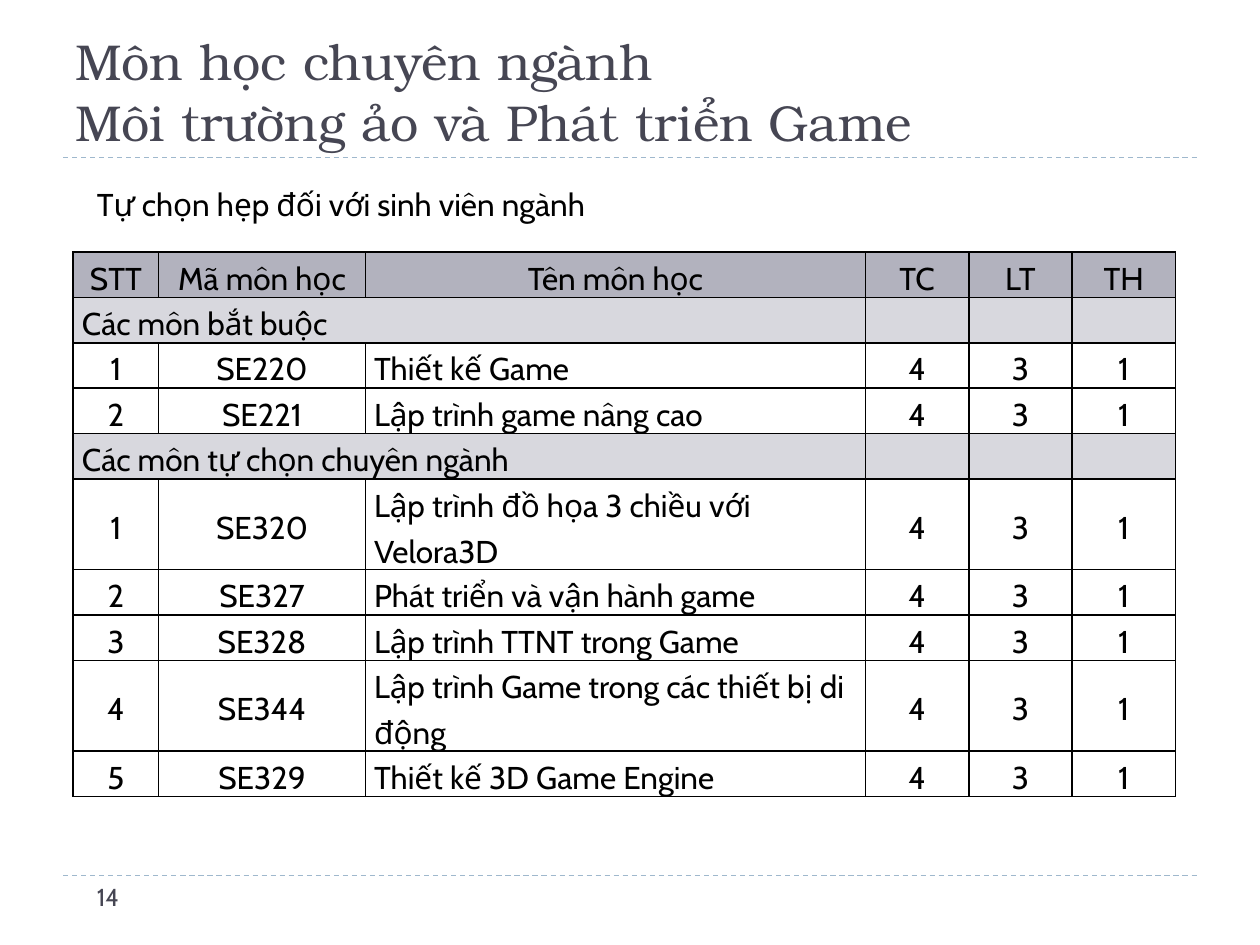
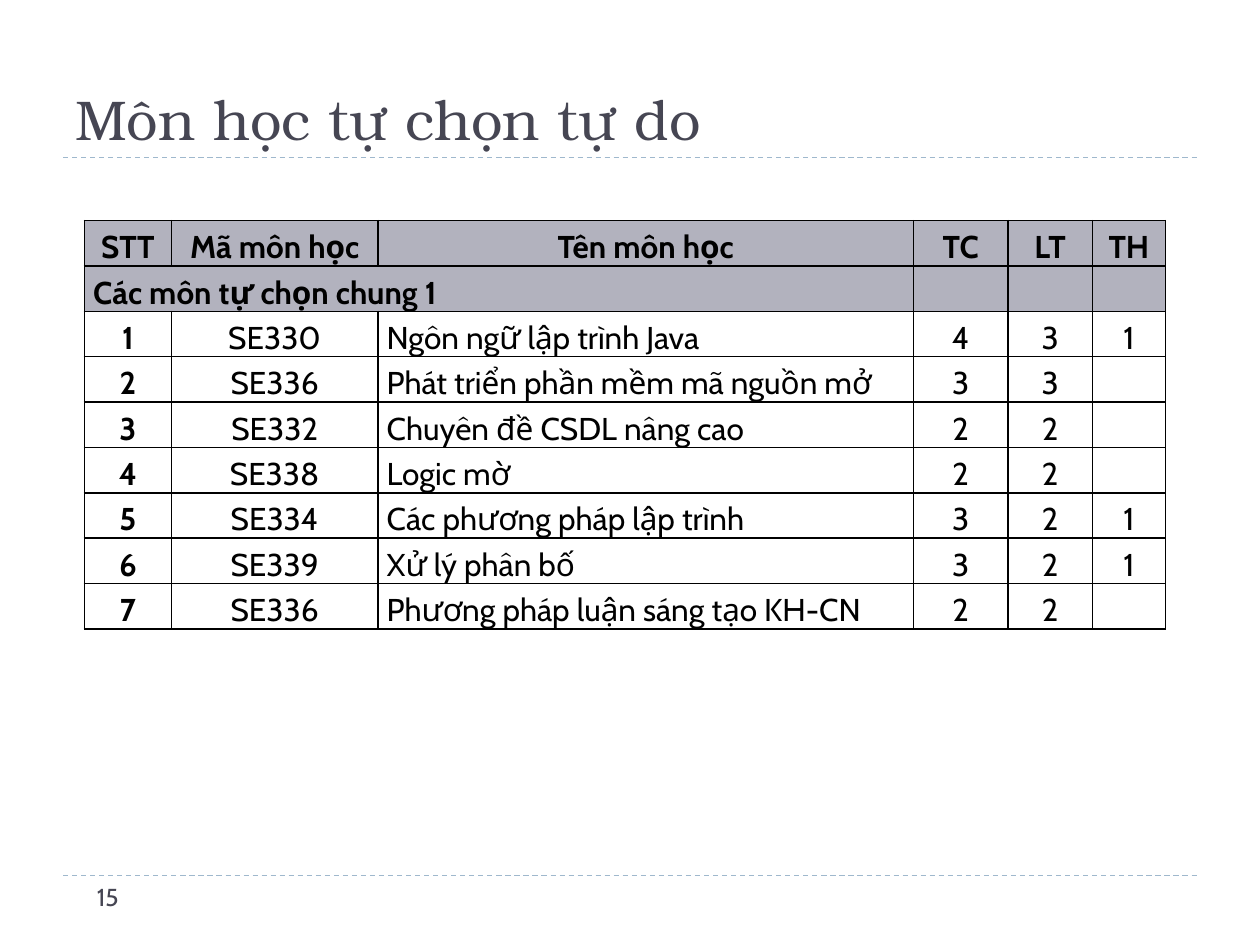
from dataclasses import dataclass

from lxml.etree import SubElement
from pptx import Presentation
from pptx.dml.color import RGBColor
from pptx.enum.dml import MSO_LINE_DASH_STYLE as Dash
from pptx.enum.shapes import MSO_CONNECTOR as Connector
from pptx.enum.text import MSO_ANCHOR as Anchor, PP_ALIGN as Align
from pptx.oxml.ns import qn
from pptx.util import Inches, Pt


@dataclass(frozen=True)
class Theme:
    """Colours, fonts and type sizes of the deck."""
    title_color: str = "464653"
    text_color: str = "000000"
    rule_color: str = "9FB8CD"
    header_fill: str = "B2B2BE"
    section_fill: str = "D8D8DE"
    title_font: str = "TeX Gyre Bonum"
    body_font: str = "Cabin"
    title_size: float = 32
    long_title_size: float = 28.8
    body_size: float = 18
    number_size: float = 14


THEME = Theme()
HEADINGS = ("STT", "Mã môn học", "Tên môn học", "TC", "LT", "TH")
NAME_COLUMN = HEADINGS.index("Tên môn học")
ROW_HEIGHT = 0.31
TITLE_BOX = (0.5, 0.17, 9, 1.08)
NUMBER_BOX = (0.67, 6.95, 2.17, 0.4)
SUBTITLE_BOX = (0.67, 1.42, 8.83, 0.42)

MAJOR_COURSES = (
    ("Các môn bắt buộc",),
    ("1", "SE220", "Thiết kế Game", "4", "3", "1"),
    ("2", "SE221", "Lập trình game nâng cao", "4", "3", "1"),
    ("Các môn tự chọn chuyên ngành",),
    ("1", "SE320", "Lập trình đồ họa 3 chiều với Velora3D", "4", "3", "1"),
    ("2", "SE327", "Phát triển và vận hành game", "4", "3", "1"),
    ("3", "SE328", "Lập trình TTNT trong Game", "4", "3", "1"),
    ("4", "SE344", "Lập trình Game trong các thiết bị di động", "4", "3", "1"),
    ("5", "SE329", "Thiết kế 3D Game Engine", "4", "3", "1"),
)
FREE_COURSES = (
    ("Các môn tự chọn chung 1",),
    ("1", "SE330", "Ngôn ngữ lập trình Java", "4", "3", "1"),
    ("2", "SE336", "Phát triển phần mềm mã nguồn mở", "3", "3", ""),
    ("3", "SE332", "Chuyên đề CSDL nâng cao", "2", "2", ""),
    ("4", "SE338", "Logic mờ", "2", "2", ""),
    ("5", "SE334", "Các phương pháp lập trình", "3", "2", "1"),
    ("6", "SE339", "Xử lý phân bố", "3", "2", "1"),
    ("7", "SE336", "Phương pháp luận sáng tạo KH-CN", "2", "2", ""),
)


def style_font(para, font_name, size, color, bold=False):
    """Set the font of a whole paragraph."""
    font = para.font
    font.name, font.size, font.bold = font_name, Pt(size), bold
    font.color.rgb = RGBColor.from_string(color)


def add_text(page, box, lines, font_name, size, color, anchor=Anchor.TOP):
    """Add a wrapped text box holding one paragraph of the given lines."""
    frame = page.shapes.add_textbox(*map(Inches, box)).text_frame
    frame.word_wrap = True
    frame.vertical_anchor = anchor
    para = frame.paragraphs[0]
    for index, line in enumerate(lines):
        if index:
            para.add_line_break()
        para.add_run().text = line
    style_font(para, font_name, size, color)


def add_rule(page, box, edge):
    """Draw a dashed rule across a box at the height of one edge."""
    left, _, width, _ = box
    rule = page.shapes.add_connector(
        Connector.STRAIGHT, *map(Inches, (left, edge, left + width, edge)))
    rule.line.color.rgb = RGBColor.from_string(THEME.rule_color)
    rule.line.width = Pt(0.75)
    rule.line.dash_style = Dash.DASH
    SubElement(rule._element.spPr, qn("a:effectLst"))


def add_frame(page, title_lines, title_size, number):
    """Add the title, both rules and the page number."""
    _, top, _, height = TITLE_BOX
    for edge in (NUMBER_BOX[1], top + height):
        add_rule(page, TITLE_BOX, edge)
    add_text(page, TITLE_BOX, title_lines, THEME.title_font, title_size,
             THEME.title_color, Anchor.BOTTOM)
    add_text(page, NUMBER_BOX, [str(number)], THEME.body_font,
             THEME.number_size, THEME.title_color)


def add_borders(cell):
    """Give a cell thin solid borders on all four sides."""
    properties = cell._tc.get_or_add_tcPr()
    for side in ("a:lnL", "a:lnR", "a:lnT", "a:lnB"):
        line = SubElement(properties, qn(side), w=str(Pt(1)))
        fill = SubElement(line, qn("a:solidFill"))
        SubElement(fill, qn("a:srgbClr"), val=THEME.text_color)


def style_cell(cell, text, align, fill=None, bold=False):
    """Write a table cell and set its borders, fill and font."""
    add_borders(cell)
    if fill:
        cell.fill.solid()
        cell.fill.fore_color.rgb = RGBColor.from_string(fill)
    else:
        cell.fill.background()
    cell.margin_left = cell.margin_right = Inches(0.07)
    cell.margin_top = cell.margin_bottom = 0
    cell.vertical_anchor = Anchor.MIDDLE
    cell.text = text
    para = cell.text_frame.paragraphs[0]
    para.alignment = align
    para.line_spacing = 1.2
    style_font(para, THEME.body_font, THEME.body_size, THEME.text_color, bold)


def add_course_table(page, corner, widths, courses, section_fill, strong=False):
    """Add a course table; one-item rows become section bands."""
    rows = (HEADINGS, *courses)
    box = (*corner, sum(widths), ROW_HEIGHT * len(rows))
    table = page.shapes.add_table(
        len(rows), len(widths), *map(Inches, box)).table
    table.first_row = table.horz_banding = False
    for column, width in zip(table.columns, widths):
        column.width = Inches(width)
    for row_index, row in enumerate(rows):
        table.rows[row_index].height = Inches(ROW_HEIGHT)
        is_header, is_section = row_index == 0, len(row) == 1
        fill = THEME.header_fill if is_header else section_fill if is_section else None
        for column_index in range(len(widths)):
            text = row[column_index] if column_index < len(row) else ""
            is_left = is_section or column_index == NAME_COLUMN and not is_header
            bold = strong and (is_header or is_section or column_index == 0)
            style_cell(table.cell(row_index, column_index), text,
                       Align.LEFT if is_left else Align.CENTER, fill, bold)
        if is_section:
            table.cell(row_index, 0).merge(table.cell(row_index, NAME_COLUMN))


def build_major_page(page):
    """Build the page of courses for the game major."""
    add_frame(page, ["Môn học chuyên ngành", "Môi trường ảo và Phát triển Game"],
              THEME.long_title_size, 14)
    add_text(page, SUBTITLE_BOX, ["Tự chọn hẹp đối với sinh viên ngành"],
             THEME.body_font, THEME.body_size, THEME.text_color)
    add_course_table(page, (0.58, 2), (0.68, 1.64, 3.97, 0.82, 0.82, 0.82),
                     MAJOR_COURSES, THEME.section_fill)


def build_free_page(page):
    """Build the page of freely chosen courses."""
    add_frame(page, ["Môn học tự chọn tự do"], THEME.title_size, 15)
    add_course_table(page, (0.67, 1.75), (0.69, 1.64, 4.25, 0.75, 0.67, 0.58),
                     FREE_COURSES, THEME.header_fill, strong=True)


def main():
    """Build and save the deck."""
    deck = Presentation()
    deck.slide_width, deck.slide_height = Inches(10), Inches(7.5)
    blank = deck.slide_layouts[6]
    for build in (build_major_page, build_free_page):
        build(deck.slides.add_slide(blank))
    deck.save("out.pptx")


if __name__ == "__main__":
    main()
